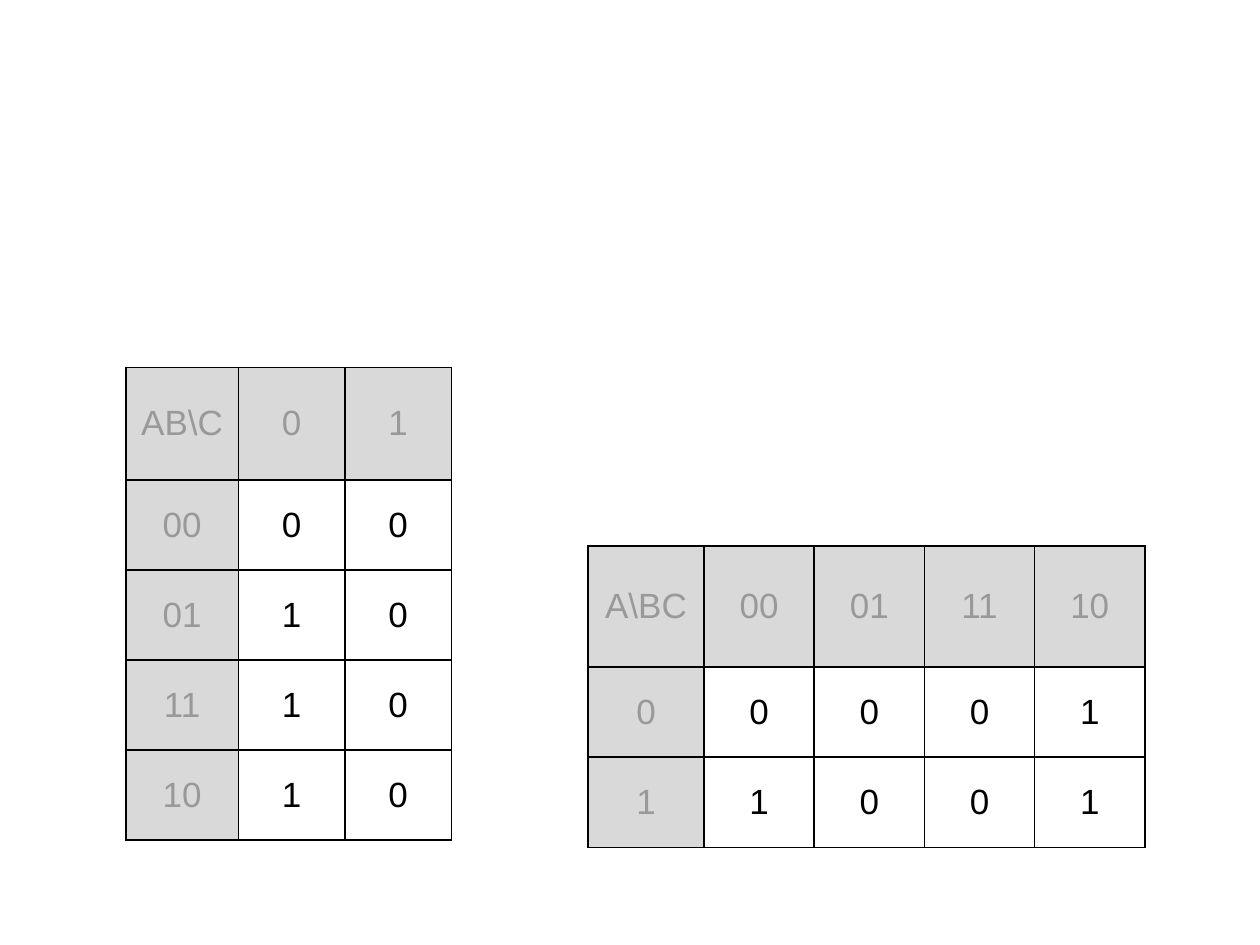
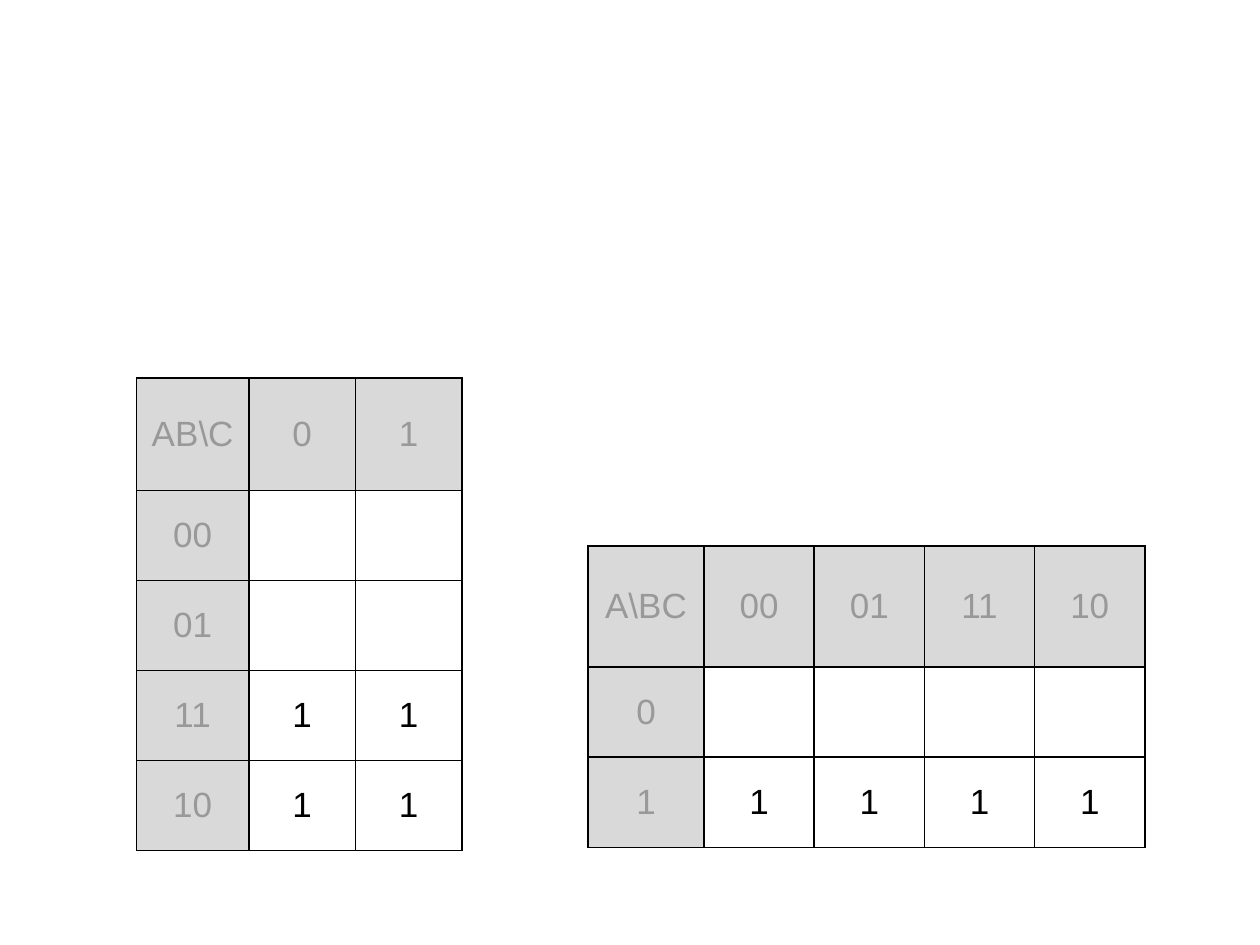
from lxml import etree
from pptx import Presentation
from pptx.dml.color import RGBColor
from pptx.enum.text import MSO_ANCHOR, PP_ALIGN
from pptx.oxml.ns import qn
from pptx.util import Inches, Pt

CENTER = PP_ALIGN.CENTER
MIDDLE = MSO_ANCHOR.MIDDLE
BLANK_LAYOUT = 6
GRID_COLUMNS, GRID_ROWS = 120, 90
COLORS = {"label": "999999", "value": "000000", "header": "D9D9D9", "border": "000000"}
GRAY_CODE = ["00", "01", "11", "10"]
BITS = ["0", "1"]
TALL_SIZES = {"label_width": 10.7, "value_width": 10.15, "header_height": 10.7, "value_height": 8.58}
WIDE_SIZES = {"label_width": 11.05, "value_width": 10.5, "header_height": 11.5, "value_height": 8.6}


class KarnaughDeck:
    font_name = "Arial"
    font_size = Pt(20)
    border_width = Pt(1)

    def __init__(self):
        self.presentation = Presentation()
        self.presentation.slide_width = Inches(10)
        self.presentation.slide_height = Inches(7.5)
        self.slide = None

    def add_slide(self):
        layout = self.presentation.slide_layouts[BLANK_LAYOUT]
        self.slide = self.presentation.slides.add_slide(layout)

    def across(self, columns):
        return round(self.presentation.slide_width * columns / GRID_COLUMNS)

    def down(self, rows):
        return round(self.presentation.slide_height * rows / GRID_ROWS)

    def add_map(self, left, top, sizes, corner, column_labels, row_labels, values):
        contents = [[corner, *column_labels]]
        contents += [[label, *row] for label, row in zip(row_labels, values)]
        widths = [sizes["label_width"]] + [sizes["value_width"]] * len(column_labels)
        heights = [sizes["header_height"]] + [sizes["value_height"]] * len(row_labels)
        frame = self.slide.shapes.add_table(
            len(heights), len(widths), self.across(left), self.down(top),
            self.across(sum(widths)), self.down(sum(heights)))
        table = frame.table
        table.first_row = False
        table.horz_banding = False
        for column, width in zip(table.columns, widths):
            column.width = self.across(width)
        for row, height in zip(table.rows, heights):
            row.height = self.down(height)
        for row_index, row in enumerate(contents):
            for column_index, text in enumerate(row):
                is_label = row_index == 0 or column_index == 0
                self.format_cell(table.cell(row_index, column_index), text.strip(), is_label)

    def format_cell(self, cell, text, is_label):
        self.add_borders(cell)
        if is_label:
            cell.fill.solid()
            cell.fill.fore_color.rgb = RGBColor.from_string(COLORS["header"])
        else:
            cell.fill.background()
        cell.vertical_anchor = MIDDLE
        cell.text_frame.text = text
        paragraph = cell.text_frame.paragraphs[0]
        paragraph.alignment = CENTER
        for run in paragraph.runs:
            run.font.name = self.font_name
            run.font.size = self.font_size
            run.font.color.rgb = RGBColor.from_string(COLORS["label" if is_label else "value"])

    def add_borders(self, cell):
        properties = cell._tc.get_or_add_tcPr()
        for side in ("a:lnL", "a:lnR", "a:lnT", "a:lnB"):
            line = etree.SubElement(properties, qn(side), w=str(self.border_width))
            fill = etree.SubElement(line, qn("a:solidFill"))
            etree.SubElement(fill, qn("a:srgbClr"), val=COLORS["border"])

    def add_map_pair(self, tall_left, tall_top, tall_values, wide_values):
        self.add_slide()
        self.add_map(tall_left, tall_top, TALL_SIZES, "AB\\C", BITS, GRAY_CODE, tall_values)
        self.add_map(56, 52, WIDE_SIZES, "A\\BC", GRAY_CODE, BITS, wide_values)


def main():
    deck = KarnaughDeck()
    deck.add_map_pair(12, 35, ["00", "10", "10", "10"], ["0001", "1001"])
    deck.add_map_pair(13, 36, [["", ""], ["", ""], "11", "11"], [[""] * 4, "1111"])
    deck.presentation.save("out.pptx")


if __name__ == "__main__":
    main()
